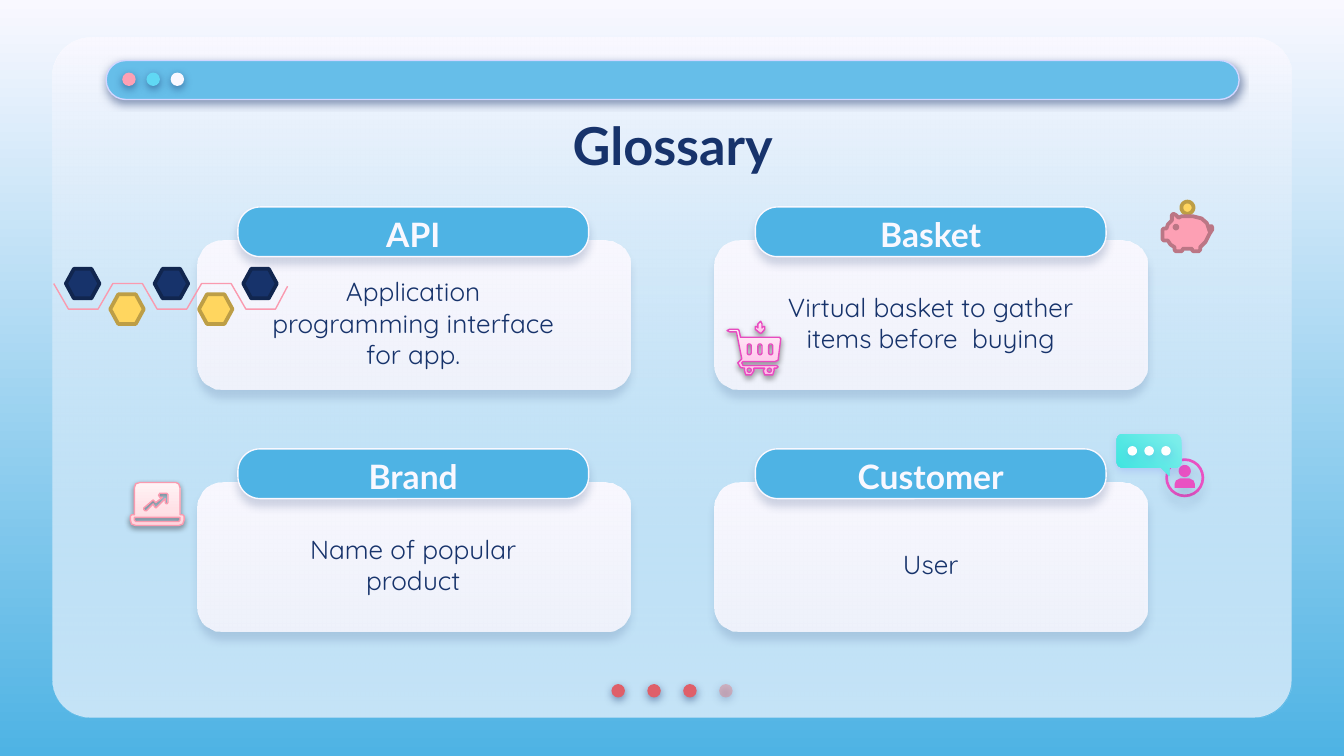
import math
from lxml import etree
from pptx import Presentation
from pptx.dml.color import RGBColor
from pptx.enum import shapes, text
from pptx.oxml import ns
from pptx.util import Inches, Pt

NAVY = RGBColor(0x17, 0x33, 0x6B)
INK = RGBColor(0x11, 0x26, 0x4F)
PALE = RGBColor(0xF9, 0xF8, 0xFF)
SKY = RGBColor(0x4E, 0xB3, 0xE4)
BLUE = RGBColor(0x66, 0xBE, 0xE9)
LILAC = RGBColor(0xD2, 0xD6, 0xFF)
RED = RGBColor(0xDF, 0x5F, 0x69)
ROSE = RGBColor(0xE2, 0x7B, 0x83)
PINK = RGBColor(0xFD, 0xA0, 0xB4)
BLUSH = RGBColor(0xFA, 0x9A, 0xAF)
MAUVE = RGBColor(0xBB, 0x76, 0x85)
CYAN = RGBColor(0x60, 0xD8, 0xF4)
GOLD = RGBColor(0xFF, 0xD6, 0x5F)
OCHRE = RGBColor(0xBD, 0x9E, 0x46)
FUCHSIA = RGBColor(0xE9, 0x51, 0xC2)
MAGENTA = RGBColor(0xE8, 0x4B, 0xC0)
VIOLET = RGBColor(0x53, 0x52, 0xEE)
WHITE = RGBColor(0xFF, 0xFF, 0xFF)
BLACK = RGBColor(0, 0, 0)

# Gradients: (angle, [(position, colour, opacity)])
PAGE = (90, [(0, PALE, 100), (100, SKY, 100)])
GLASS = (90, [(0, PALE, 100), (100, BLUE, 35)])
CARD = (90, [(0, PALE, 100), (100, PALE, 87)])
TEAL = (135, [(0, RGBColor(0x81, 0xEE, 0xEB), 100), (100, RGBColor(0x3A, 0xE4, 0xDF), 100)])
SHELL = (270, [(0, RGBColor(0xFF, 0xD5, 0xDD), 100), (35, RGBColor(0xFF, 0xE1, 0xE6), 100),
               (100, RGBColor(0xFF, 0xF3, 0xF5), 100)])
CANDY = (270, [(0, RGBColor(0xFF, 0xB8, 0xE7), 100), (35, RGBColor(0xFF, 0xCD, 0xED), 100),
               (100, RGBColor(0xFF, 0xEC, 0xF8), 100)])

# Shadows: colour, opacity, blur, distance
FIRM = (NAVY, 50, 4.5, 1.5)
SOFT = (NAVY, 16, 4.5, 4.5)
TAB = (NAVY, 18, 4.5, 3.8)
GLOW = (VIOLET, 18, 4.5, 1.5)
DARK = (BLACK, 38, 3.1, 1.6)


def tint(parent, color, alpha):
    clr = etree.SubElement(parent, ns.qn("a:srgbClr"), val=str(color))
    etree.SubElement(clr, ns.qn("a:alpha"), val=str(alpha * 1000))


def blend(fill, root, angle, stops):
    """Give a fill the gradient; root is the element that holds it."""
    fill.gradient()
    fill.gradient_angle = 360 - angle
    items = root.find(".//" + ns.qn("a:gsLst"))
    for old in list(items):
        items.remove(old)
    for pos, color, alpha in stops:
        tint(etree.SubElement(items, ns.qn("a:gs"), pos=str(pos * 1000)), color, alpha)


def style(shape, fill=None, line=None, width=0.75, shadow=None, alpha=100):
    if fill is None:
        shape.fill.background()
    elif isinstance(fill, tuple) and not isinstance(fill, RGBColor):
        blend(shape.fill, shape._element, *fill)
    else:
        shape.fill.solid()
        shape.fill.fore_color.rgb = fill
        if alpha < 100:
            clr = shape._element.spPr.find(".//" + ns.qn("a:srgbClr"))
            etree.SubElement(clr, ns.qn("a:alpha"), val=str(alpha * 1000))
    if line is None:
        shape.line.fill.background()
    else:
        shape.line.color.rgb = line
        shape.line.width = Pt(width)
    shape.shadow.inherit = False
    if shadow:
        color, dim, blur, dist = shadow
        outer = etree.SubElement(
            shape._element.spPr.find(ns.qn("a:effectLst")), ns.qn("a:outerShdw"),
            blurRad=str(Pt(blur)), dist=str(Pt(dist)), dir="5400000", algn="bl", rotWithShape="0")
        tint(outer, color, dim)


def block(slide, x, y, w, h, round=0.5, **look):
    shape = slide.shapes.add_shape(shapes.MSO_SHAPE.ROUNDED_RECTANGLE,
                                   Inches(x), Inches(y), Inches(w), Inches(h))
    shape.adjustments[0] = round
    style(shape, **look)


def dot(slide, x, y, color, **look):
    shape = slide.shapes.add_shape(shapes.MSO_SHAPE.OVAL,
                                   Inches(x), Inches(y), Inches(0.1), Inches(0.1))
    style(shape, fill=color, shadow=FIRM, **look)


def label(slide, words, x, y, w, h, size=14, font="Quicksand", color=NAVY, bold=False):
    box = slide.shapes.add_textbox(Inches(x), Inches(y), Inches(w), Inches(h))
    frame = box.text_frame
    frame.word_wrap = True
    frame.vertical_anchor = text.MSO_ANCHOR.MIDDLE
    frame.margin_left = frame.margin_right = Inches(0.1)
    frame.margin_top = frame.margin_bottom = Inches(0.1)
    para = frame.paragraphs[0]
    para.alignment = text.PP_ALIGN.CENTER
    run = para.add_run()
    run.text = words
    run.font.size, run.font.name, run.font.bold = Pt(size), font, bold
    run.font.color.rgb = color


def outline(slide, x, y, *paths, close=True, **look):
    """Draw paths given in hundredths of an inch from (x, y)."""
    paths = [[(Inches(x + a / 100), Inches(y + b / 100)) for a, b in path] for path in paths]
    pen = slide.shapes.build_freeform(*paths[0][0], scale=1.0)
    for i, path in enumerate(paths):
        if i:
            pen.move_to(*path[0])
        pen.add_line_segments(path[1:], close=close)
    style(pen.convert_to_shape(), **look)


def curve(x, y, w, h, r):
    """Points of a rounded box; a circle when r is half its side."""
    hubs = [(x + w - r, y + h - r), (x + r, y + h - r), (x + r, y + r), (x + w - r, y + r)]
    return [(cx + r * math.cos(math.radians(90 * q + t)), cy + r * math.sin(math.radians(90 * q + t)))
            for q, (cx, cy) in enumerate(hubs) for t in range(0, 91, 15)]


def window(slide, x, y, w, h):
    for fill in (PALE, GLASS):
        block(slide, x, y, w, h, round=0.056, fill=fill)
    for i in range(4):
        last = i == 3
        dot(slide, x + 4.16 + 0.267 * i, y + 4.81, ROSE if last else RED, alpha=44 if last else 100)
    block(slide, x + 0.4, y + 0.17, 8.43, 0.29, fill=BLUE, line=LILAC, shadow=FIRM)
    for i, color in enumerate((PINK, CYAN, PALE)):
        dot(slide, x + 0.52 + 0.18 * i, y + 0.26, color)


def card(slide, x, y, term, gloss):
    block(slide, x, y, 3.22, 1.11, round=0.167, fill=CARD, shadow=SOFT)
    block(slide, x + 0.3, y - 0.25, 2.61, 0.37, round=0.447, fill=SKY, line=PALE, shadow=TAB)
    label(slide, term, x + 0.37, y - 0.19, 2.47, 0.29, size=18, font="Lato", color=PALE, bold=True)
    label(slide, gloss, x + 0.37, y + 0.2, 2.47, 0.82)


def chat(slide, x, y):
    bust = [(43, 40), (43, 37), (44, 34.5), (47, 33), (54, 33), (57, 34.5), (58, 37), (58, 40)]
    for paths in ([curve(36, 18, 29, 29, 14.5), curve(38, 20, 25, 25, 12.5)],
                  [curve(46, 23, 9, 9, 4.5)], [bust]):
        outline(slide, x, y, *paths, fill=FUCHSIA, shadow=SOFT)
    outline(slide, x, y, curve(0, 0, 48, 25, 4.5), [(33, 25), (39, 31), (39, 25)],
            fill=TEAL, shadow=GLOW)
    outline(slide, x, y, *[curve(8 + 12.5 * i, 9, 7, 7, 3.5) for i in range(3)],
            fill=WHITE, shadow=GLOW)


def chain(slide, x, y):
    cell = [(6, 0), (0, 11), (6, 22), (19, 22), (25, 11), (19, 0)]
    wire = [(0, 11)]
    for i in range(5):
        odd = i % 2
        fill, line = (GOLD, OCHRE) if odd else (NAVY, INK)
        outline(slide, x + 0.09 + 0.33 * i, y + 0.19 * odd, cell, fill=fill, line=line, width=2)
        level = 11 if odd else 30
        wire += [(11 + 33 * i, level), (33 + 33 * i, level)]
    outline(slide, x, y, wire + [(174, 13)], close=False, line=BLUSH)


def piggy(slide, x, y):
    body = [(8, 9), (7, 10), (7, 14), (4, 17), (3, 20), (1, 20), (0, 21), (0, 28), (1, 29),
            (4, 29), (6, 32), (9, 34), (9, 36), (10, 37), (14, 37), (15, 36), (15, 35),
            (22, 35), (22, 36), (23, 37), (27, 37), (28, 36), (28, 34), (32, 30), (35, 24),
            (37, 21), (37, 19), (36, 18), (35, 19), (35, 22), (33, 16), (29, 12.5),
            (23, 11), (14, 11), (12, 12), (10, 10)]
    outline(slide, x, y, curve(14, 0, 9, 9, 4.5), fill=GOLD, line=OCHRE, width=2)
    outline(slide, x, y, body, curve(9, 18, 2, 2, 1), fill=PINK, line=MAUVE, width=2)


def laptop(slide, x, y):
    case = [(7, 0), (34, 0), (36, 1), (37, 4), (37, 24), (39, 24), (40, 25), (40, 28), (39, 31),
            (36, 32), (4, 32), (1, 31), (0, 28), (0, 25), (1, 24), (3, 24), (3, 4), (4, 1)]
    slit = [(3, 26), (37, 26), (37, 28), (36, 29), (4, 29), (3, 28)]
    trend = [(22, 8), (27, 8), (28, 9), (28, 15), (27, 16), (26, 15), (26, 12), (19, 19),
             (18, 18), (17, 16), (12, 21), (11, 21), (10, 20), (10, 19), (17, 13), (19, 15),
             (24, 11), (22, 11), (21, 9.5)]
    outline(slide, x, y, case, slit, trend, fill=SHELL, line=BLUSH, shadow=DARK)


def cart(slide, x, y):
    arrow = [(25, 0), (26, 2), (26, 5), (27, 4), (28, 4), (28, 6), (26, 8.5), (25, 9),
             (24, 8.5), (21, 6), (21, 4), (22, 4), (23, 5), (23, 2)]
    frame = [(2, 6), (8, 6), (9, 7), (10, 12), (39, 12), (40, 13), (38, 29), (36, 30), (12, 30),
             (11, 31), (12, 33), (37, 33), (38, 34), (37, 35), (35, 35), (35, 37), (34, 40),
             (28, 40), (27, 37), (28, 35), (20, 35), (20, 37), (18, 40), (14, 40), (13, 37),
             (13, 35), (10, 34.5), (8, 31), (11, 28), (7, 8), (2, 8), (0, 7)]
    slots = [curve(15 + 8 * i, 17, 3, 8, 1.5) for i in range(3)]
    wheels = [curve(15 + 15 * i, 35, 3, 3, 1.5) for i in range(2)]
    for paths in ([arrow], [frame, *slots, *wheels]):
        outline(slide, x, y, *paths, fill=CANDY, line=MAGENTA, shadow=DARK)


def main():
    deck = Presentation()
    deck.slide_width, deck.slide_height = Inches(10), Inches(10 * 9 / 16)
    slide = deck.slides.add_slide(deck.slide_layouts[6])
    blend(slide.background.fill, slide._element, *PAGE)
    window(slide, 0.39, 0.28, 9.22, 5.06)
    label(slide, "Glossary", 0.79, 0.76, 8.43, 0.63, size=28, font="Lato", bold=True)
    terms = [("API", "Application programming interface for app."),
             ("Basket", "Virtual basket to gather items before  buying"),
             ("Brand", "Name of popular product"),
             ("Customer", "User")]
    for i, (term, gloss) in enumerate(terms):
        card(slide, 1.47 + 3.85 * (i % 2), 1.79 + 1.8 * (i // 2), term, gloss)
    chat(slide, 8.31, 3.23)
    chain(slide, 0.4, 2)
    piggy(slide, 8.65, 1.5)
    laptop(slide, 0.97, 3.59)
    cart(slide, 5.41, 2.39)
    deck.save("out.pptx")


if __name__ == "__main__":
    main()
